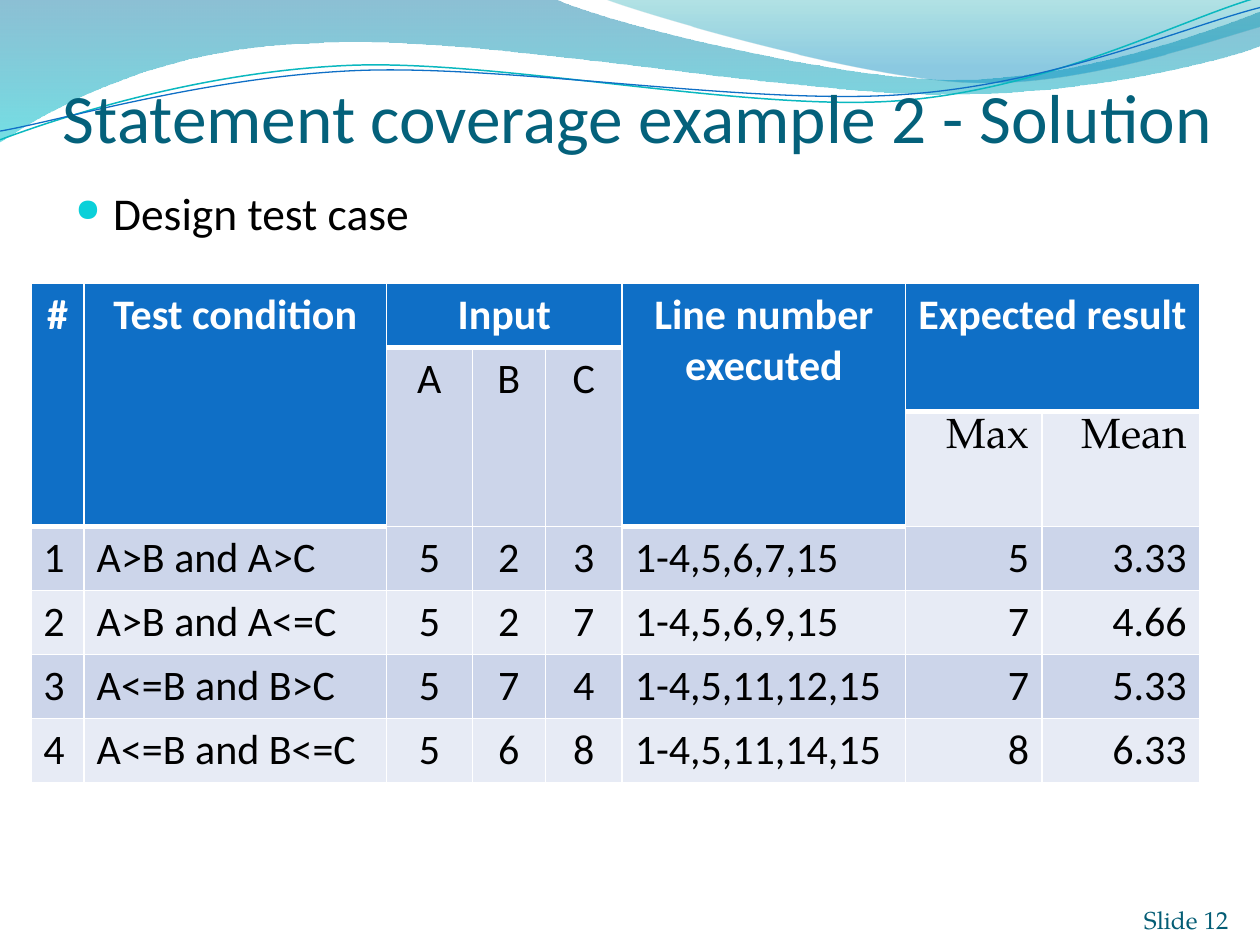
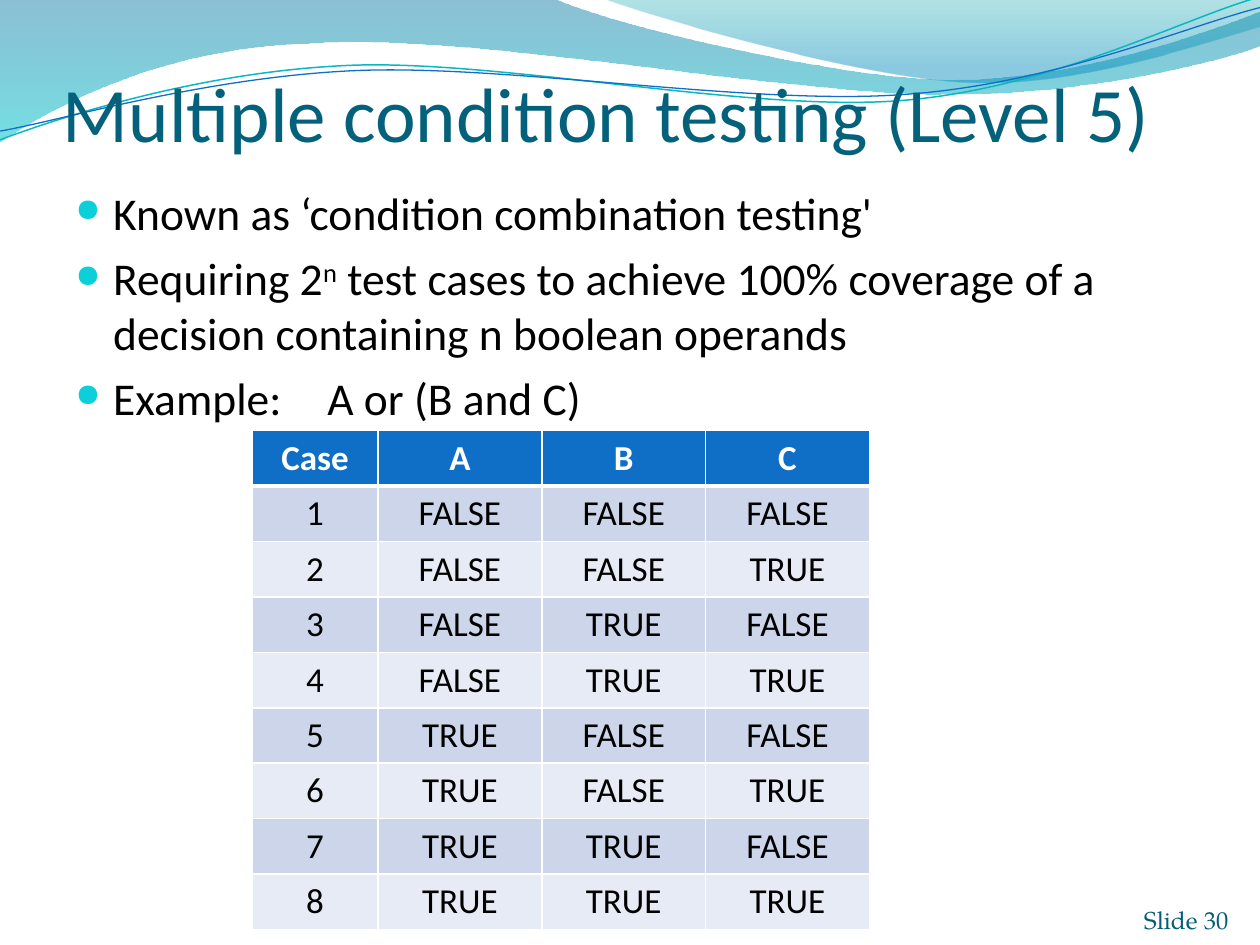
from itertools import product

from lxml import etree
from pptx import Presentation
from pptx import util as u
from pptx.dml import color as dml
from pptx.enum import text as t
from pptx.oxml import ns

Pt = u.Pt
SANS, SERIF = "Calibri", "TeX Gyre Pagella"
TITLE, FOOTER, BULLET = "04617B", "045D75", "0BD0D9"
BLUE, BLACK, WHITE = "0F6FC6", "000000", "FFFFFF"
STRIPES = ("E7EBF5", "CCD5EA")
ALIGN = {"l": t.PP_ALIGN.LEFT, "c": t.PP_ALIGN.CENTER, "r": t.PP_ALIGN.RIGHT}
HEADER_EDGES = {"lnL": 1, "lnR": 1, "lnT": 1, "lnB": 3}

SLIDE_BOX = (0, 0, 720, 540)
TITLE_BOX = (36, 30.24, 660.24, 59.76)
BODY_BOX = (36, 102.24, 660.24, 414)
FOOTER_BOX = (642.24, 505.44, 59.76, 28.8)

BANDS = [
    ([(0, 0), (316.8, -0.7), (342.7, 12.2, 478.1, 45.4, 545.8, 45.4),
      (614.2, 45.4, 689.8, 18.7, 720, 6.5), (720.7, 25.9),
      (707.8, 31.7, 626.4, 54.7, 537.1, 54), (447.8, 54, 275, 20.2, 185, 24.5),
      (92.9, 25.9, 33.1, 59.8, -0.7, 81.4), (0, 0)],
     [(0, "0074A1", 45), (100, "00C6CF", 55)]),
    ([(344.9, -0.7), (366.5, 7.9, 491, 44.6, 553.7, 46.8),
      (616.3, 49.7, 691.9, 23, 720, 15.1), (720, 0), (344.9, -0.7)],
     [(0, "00A1A9", 30), (80, "008BBF", 45)]),
]
RIPPLES = [
    ([(0, 79.9), (34.6, 67, 113.8, 41, 199.4, 37.4),
      (284.4, 33.8, 427, 64.1, 513.4, 57.6), (599.8, 51.1, 675.4, 10.8, 718.6, -1.4)],
     "0AB8BF", 0.85),
    ([(0, 74.9), (33.8, 69.1, 118.1, 43.9, 203.8, 40.3),
      (290.2, 36.7, 429.8, 60.5, 516.2, 54), (601.9, 48.2, 677.5, 15.1, 720, 4.3)],
     BLUE, 0.75),
]


def rgb(code):
    """Turn a hex string into a colour."""
    return dml.RGBColor.from_string(code)


def apply(target, values):
    """Set each attribute of the target from a dict."""
    for name, value in values.items():
        setattr(target, name, value)


def add_span(para, words, size, color, font=SANS, bold=False):
    """Add one formatted run of text."""
    span = para.add_run()
    span.text = words
    apply(span.font, {"size": Pt(size), "name": font, "bold": bold})
    span.font.color.rgb = rgb(color)
    return span


def add_child(parent, tag, **attributes):
    """Append one drawing element to an XML parent."""
    return etree.SubElement(parent, ns.qn(f"a:{tag}"), attributes)


def add_box(page, box, margins, anchor):
    """Add a wrapping text box and return its frame."""
    frame = page.shapes.add_textbox(*map(Pt, box)).text_frame
    sides = ("margin_left", "margin_top", "margin_right", "margin_bottom")
    apply(frame, dict(zip(sides, map(Pt, margins))))
    apply(frame, {"word_wrap": True, "vertical_anchor": anchor})
    return frame


def add_outline(page, box, steps, close):
    """Draw straight and cubic steps that start from the box corner."""
    ends = [(Pt(box[0] + step[-2]), Pt(box[1] + step[-1])) for step in steps]
    builder = page.shapes.build_freeform(*ends[0])
    builder.add_line_segments(ends[1:], close=close)
    shape = builder.convert_to_shape()
    shape.shadow.inherit = False
    left, top = (min(axis) for axis in zip(*ends))
    segments = list(shape._element.iter(ns.qn("a:lnTo")))
    for segment, step in zip(segments, steps[1:]):
        if len(step) == 6:
            segment.clear()
            curve = etree.Element(ns.qn("a:cubicBezTo"))
            for x, y in zip(step[::2], step[1::2]):
                add_child(curve, "pt", x=str(Pt(box[0] + x) - left),
                          y=str(Pt(box[1] + y) - top))
            segment.getparent().replace(segment, curve)
    return shape


def fill_gradient(shape, stops):
    """Fill a shape from top to bottom with translucent stops."""
    shape.fill.gradient()
    shape.fill.gradient_angle = 270
    stop_list = shape._element.spPr.find(ns.qn("a:gradFill")).find(ns.qn("a:gsLst"))
    for old in list(stop_list):
        stop_list.remove(old)
    for position, color, opacity in stops:
        stop = add_child(stop_list, "gs", pos=str(position * 1000))
        tint = add_child(stop, "srgbClr", val=color)
        add_child(tint, "alpha", val=str(opacity * 1000))


def draw_waves(page, box):
    """Draw the wave bands and ripple lines at the top."""
    for steps, stops in BANDS:
        band = add_outline(page, box, steps, True)
        fill_gradient(band, stops)
        band.line.fill.background()
    for steps, color, width in RIPPLES:
        ripple = add_outline(page, box, steps, False)
        ripple.fill.background()
        ripple.line.color.rgb = rgb(color)
        ripple.line.width = Pt(width)


def draw_title(page, box, words, size):
    """Write the slide title."""
    frame = add_box(page, box, (0, 3.6, 0, 0), t.MSO_ANCHOR.BOTTOM)
    add_span(frame.paragraphs[0], words, size, TITLE)


def draw_footer(page, box, number):
    """Write the slide number."""
    para = add_box(page, box, (0, 0, 0, 0), t.MSO_ANCHOR.BOTTOM).paragraphs[0]
    para.alignment = ALIGN["r"]
    add_span(para, f"Slide {number}", 14, FOOTER, SERIF)


def draw_bullets(page, box, items):
    """Write bulleted items, each a list of text and baseline pairs."""
    frame = add_box(page, box, (7.2, 3.6, 7.2, 3.6), t.MSO_ANCHOR.TOP)
    for index, item in enumerate(items):
        para = frame.add_paragraph() if index else frame.paragraphs[0]
        para.space_before = Pt(6)
        props = para._p.get_or_add_pPr()
        props.set("marL", str(Pt(21.6)))
        props.set("indent", str(-Pt(21.6)))
        add_child(add_child(props, "buClr"), "srgbClr", val=BULLET)
        add_child(props, "buSzPct", val="70000")
        add_child(props, "buChar", char="●")
        for words, baseline in item:
            span = add_span(para, words, 26, BLACK)
            if baseline:
                span._r.get_or_add_rPr().set("baseline", str(baseline * 1000))


def edge_header(cell):
    """Give a header cell white edges, with a thick one below."""
    props = cell._tc.get_or_add_tcPr()
    for index, (tag, width) in enumerate(HEADER_EDGES.items()):
        edge = etree.Element(ns.qn(f"a:{tag}"), {"w": str(Pt(width))})
        add_child(add_child(edge, "solidFill"), "srgbClr", val=WHITE)
        props.insert(index, edge)


def draw_table(page, corner, widths, heights, rows, aligns, size, merges=(), serif=()):
    """Draw a striped table with a blue header row."""
    extent = (sum(widths), sum(heights))
    table = page.shapes.add_table(len(rows), len(widths), *map(Pt, corner + extent)).table
    for column, width in zip(table.columns, widths):
        column.width = Pt(width)
    for row, height in zip(table.rows, heights):
        row.height = Pt(height)
    for top, left, bottom, right in merges:
        table.cell(top, left).merge(table.cell(bottom, right))
    for r, c in product(range(len(rows)), range(len(widths))):
        cell, words, header = table.cell(r, c), rows[r][c], r == 0
        cell.fill.solid()
        cell.fill.fore_color.rgb = rgb(BLUE if header else STRIPES[r % 2])
        if words:
            para = cell.text_frame.paragraphs[0]
            para.alignment = ALIGN["c" if header else aligns[c]]
            add_span(para, words, size, WHITE if header else BLACK,
                     SERIF if words in serif else SANS, header)
    headers = [area for area in merges if area[0] == 0]
    headers = headers or [(0, c, 0, c) for c in range(len(widths))]
    for top, left, bottom, right in headers:
        edged = {(top, left)} | {(bottom, c) for c in range(left, right + 1)}
        for place in edged:
            edge_header(table.cell(*place))


def start_page(deck, title, size, number, items):
    """Add a slide with the shared waves, title, bullets and footer."""
    page = deck.slides.add_slide(deck.slide_layouts[6])
    draw_waves(page, SLIDE_BOX)
    draw_title(page, TITLE_BOX, title, size)
    draw_bullets(page, BODY_BOX, items)
    draw_footer(page, FOOTER_BOX, number)
    return page


def solution_page(deck):
    """Build the slide with the designed test cases."""
    page = start_page(deck, "Statement coverage example 2 - Solution", 39.6, 12,
                      [[("Design test case", 0)]])
    rows = [
        ("#", "Test condition", "Input", "", "", "Line number executed", "Expected result", ""),
        ("", "", "A", "B", "C", "", "", ""),
        ("", "", "", "", "", "", "Max", "Mean"),
        ("1", "A>B and A>C", "5", "2", "3", "1-4,5,6,7,15", "5", "3.33"),
        ("2", "A>B and A<=C", "5", "2", "7", "1-4,5,6,9,15", "7", "4.66"),
        ("3", "A<=B and B>C", "5", "7", "4", "1-4,5,11,12,15", "7", "5.33"),
        ("4", "A<=B and B<=C", "5", "6", "8", "1-4,5,11,14,15", "8", "6.33"),
    ]
    merges = [(0, 0, 2, 0), (0, 1, 2, 1), (0, 2, 0, 4), (0, 5, 2, 5), (0, 6, 1, 7)]
    merges += [(1, column, 2, column) for column in (2, 3, 4)]
    draw_table(page, (17.6, 162), (30.5, 172.8, 49, 41.8, 43.9, 162, 77.8, 90),
               [36.6, 36.6, 65.6] + [36.6] * 4, rows, "llccclrr", 24,
               merges, ("Max", "Mean"))


def conditions_page(deck):
    """Build the slide with the truth table."""
    page = start_page(deck, "Multiple condition testing (Level 5)", 44, 30, [
        [("Known as ‘condition combination testing'", 0)],
        [("Requiring 2", 0), ("n", 30),
         (" test cases to achieve 100% coverage of a decision "
          "containing n boolean operands", 0)],
        [("Example: \tA or (B and C)", 0)],
    ])
    rows = [("Case", "A", "B", "C")]
    rows += [(str(case), *values) for case, values
             in enumerate(product(("FALSE", "TRUE"), repeat=3), 1)]
    draw_table(page, (144, 246), [72] + [93.6] * 3, [31.7] * len(rows),
               rows, "cccc", 20)


def main():
    """Build and save the deck."""
    deck = Presentation()
    apply(deck, {"slide_width": Pt(720), "slide_height": Pt(540)})
    solution_page(deck)
    conditions_page(deck)
    deck.save("out.pptx")


if __name__ == "__main__":
    main()
